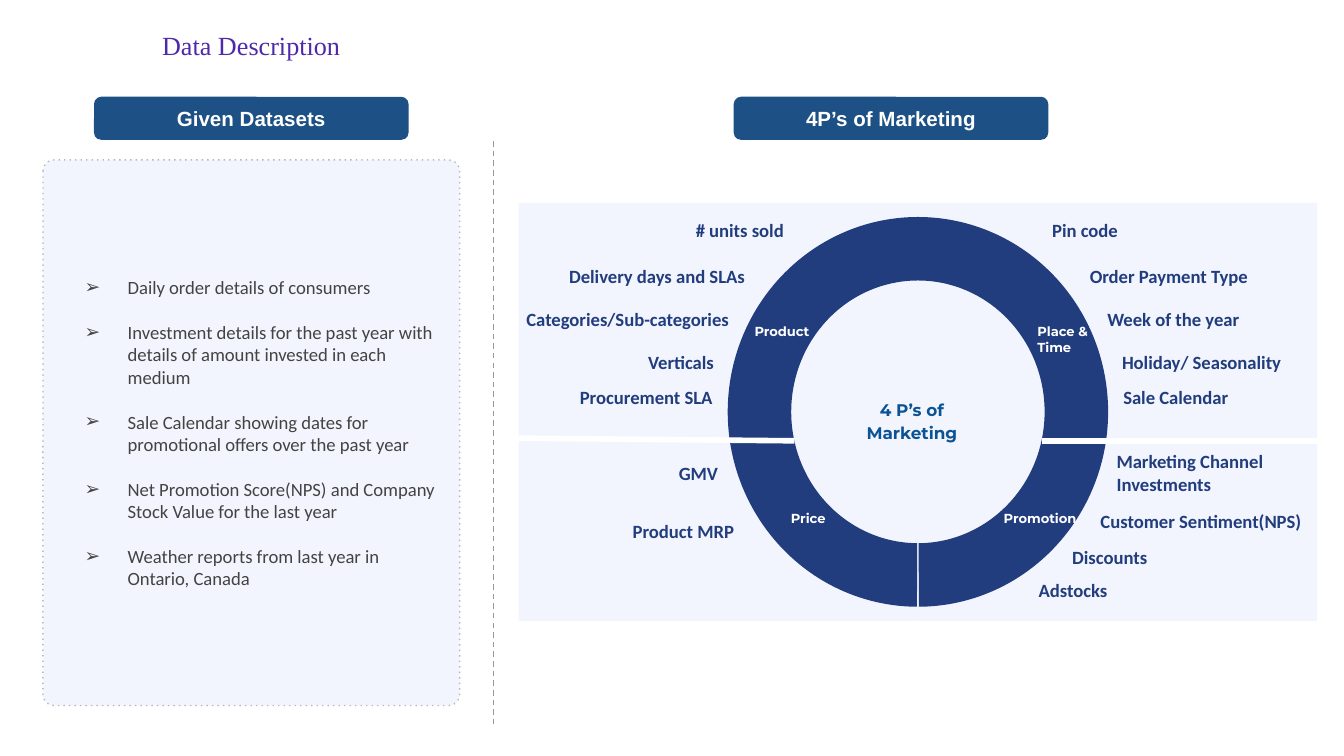
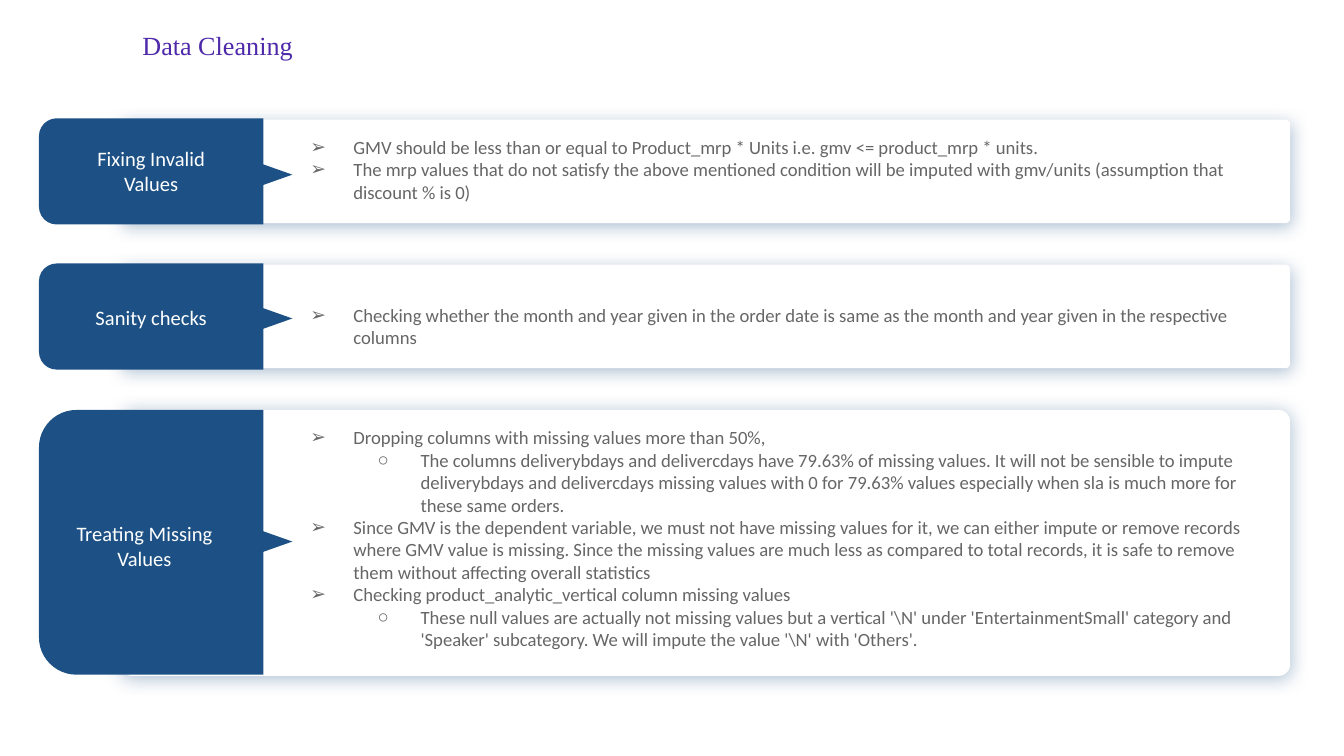
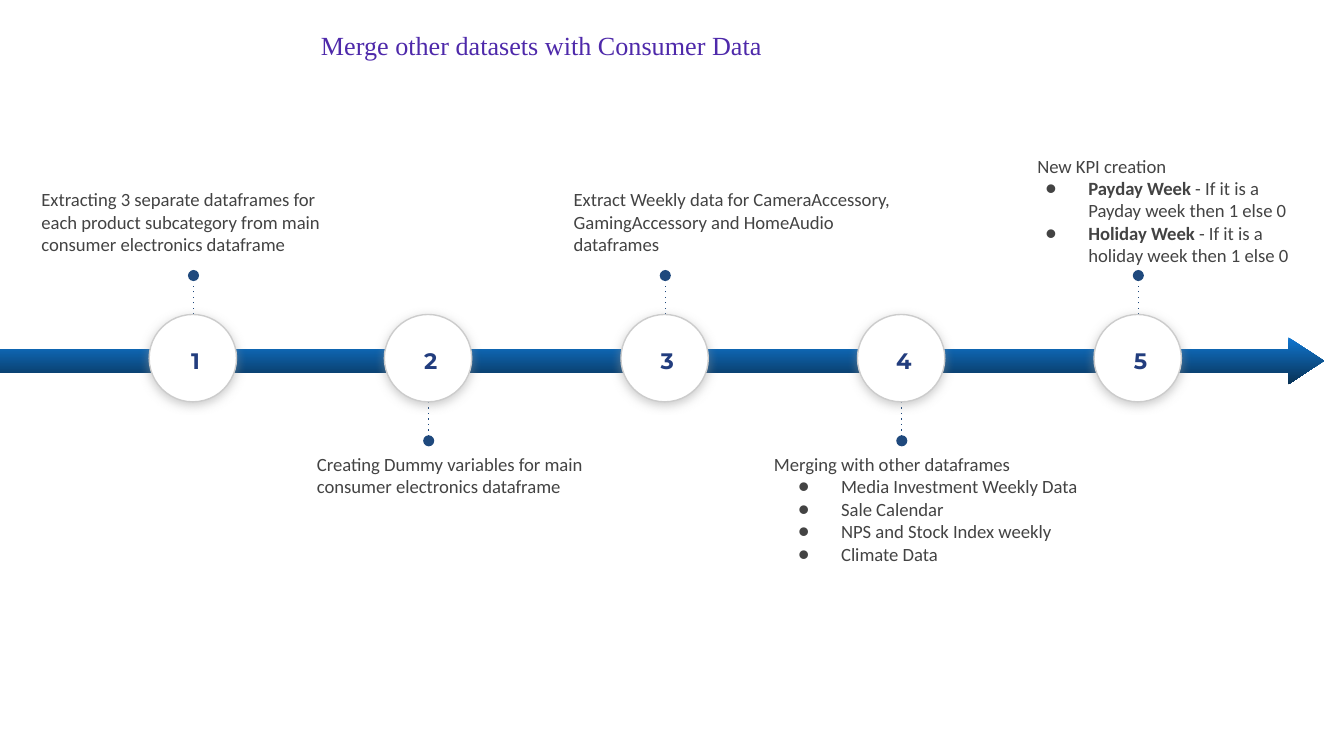
from lxml import etree
from pptx import Presentation
from pptx.dml.color import RGBColor
from pptx.enum.dml import MSO_LINE
from pptx.enum.shapes import MSO_CONNECTOR, MSO_SHAPE
from pptx.enum.text import MSO_ANCHOR, MSO_AUTO_SIZE, PP_ALIGN
from pptx.oxml.ns import qn
from pptx.util import Pt

PX = 9144  # 100 px to the inch
LEFT, MID, RIGHT = PP_ALIGN.LEFT, PP_ALIGN.CENTER, PP_ALIGN.RIGHT
TOP, CENTER = MSO_ANCHOR.TOP, MSO_ANCHOR.MIDDLE
DASH, DOT = MSO_LINE.DASH, MSO_LINE.ROUND_DOT
RECT, ROUND, OVAL = MSO_SHAPE.RECTANGLE, MSO_SHAPE.ROUNDED_RECTANGLE, MSO_SHAPE.OVAL
ARC, TAB = MSO_SHAPE.BLOCK_ARC, MSO_SHAPE.ROUND_2_SAME_RECTANGLE
TIP, ARROW = MSO_SHAPE.ISOSCELES_TRIANGLE, MSO_SHAPE.RIGHT_ARROW
STRAIGHT = MSO_CONNECTOR.STRAIGHT

HUES = {
    "white": "FFFFFF", "blue": "1D5185", "navy": "223D7E", "mist": "6F91ED",
    "hub": "0B5394", "stem": "1F497D", "ink": "434343", "gray": "666666",
    "rule": "999999", "edge": "B7B7B7", "rim": "CCCCCC", "outline": "595959",
    "violet": "4E29AA", "plum": "1E123D", "sky": "1077D2", "deep": "093153",
}
RGB = {name: RGBColor.from_string(code) for name, code in HUES.items()}

HEAD = {"name": "Times New Roman", "size": Pt(14), "bold": False}
PILL = {"name": "Arial", "size": Pt(11), "bold": True}
BODY = {"name": "Calibri", "size": Pt(10), "bold": False}
NAME = {"name": "Calibri", "size": Pt(11), "bold": False}
LABEL = {"name": "Calibri", "size": Pt(10), "bold": True}
PART = {"name": "Montserrat", "size": Pt(7), "bold": True}
HUB = {"name": "Montserrat", "size": Pt(9), "bold": True}
STEP = {"name": "Montserrat", "size": Pt(12), "bold": True}


def write(shape, lines, font, hue, align=LEFT, anchor=TOP, pad=10, **para):
    """Fill a shape with lines: text, or (bullet, indent, text); |bars| mark bold."""
    frame = shape.text_frame
    setup = {"word_wrap": True, "auto_size": MSO_AUTO_SIZE.NONE, "vertical_anchor": anchor,
             "margin_left": 10 * PX, "margin_right": 10 * PX,
             "margin_top": pad * PX, "margin_bottom": pad * PX}
    for key, value in setup.items():
        setattr(frame, key, value)
    for i, line in enumerate(lines):
        mark, indent, text = ("", 0, line) if isinstance(line, str) else line
        p = frame.paragraphs[0] if i == 0 else frame.add_paragraph()
        for key, value in {"alignment": align, "space_before": Pt(0), **para}.items():
            setattr(p, key, value)
        if mark:
            p.level = 1 if indent == 100 else 0
            props = p._p.get_or_add_pPr()
            props.set("marL", str(indent * PX))
            props.set("indent", str(-32 * PX))
            tint = etree.SubElement(props, qn("a:buClr"))
            etree.SubElement(tint, qn("a:srgbClr"), val=HUES[hue])
            face = "Arial" if mark == "○" else "Calibri"
            etree.SubElement(props, qn("a:buFont"), typeface=face)
            etree.SubElement(props, qn("a:buChar"), char=mark)
        for k, piece in enumerate(text.split("|")):
            if piece:
                run = p.add_run()
                run.text = piece
                for key, value in font.items():
                    setattr(run.font, key, value)
                run.font.bold = font["bold"] or k % 2 == 1
                run.font.color.rgb = RGB[hue]


def draw(slide, kind, box, hue, adj=(), turn=0, alpha=None, glow=None):
    """Add a preset shape; glow is (hue, opacity %, blur pt)."""
    shape = slide.shapes.add_shape(kind, *[n * PX for n in box])
    shape.shadow.inherit = False
    shape.rotation = turn
    for i, value in enumerate(adj):
        shape.adjustments[i] = value
    shape.fill.solid()
    shape.fill.fore_color.rgb = RGB[hue]
    shape.line.fill.background()
    props = shape.element.spPr
    if alpha:
        tint = props.find(qn("a:solidFill")).find(qn("a:srgbClr"))
        etree.SubElement(tint, qn("a:alpha"), val=str(alpha * 1000))
    if glow:
        shade, opacity, blur = glow
        cast = etree.SubElement(props.find(qn("a:effectLst")), qn("a:outerShdw"),
                                blurRad=str(Pt(blur)), dist=str(Pt(1.5)), dir="5400000",
                                algn="bl", rotWithShape="0")
        tint = etree.SubElement(cast, qn("a:srgbClr"), val=HUES[shade])
        etree.SubElement(tint, qn("a:alpha"), val=str(opacity * 1000))
    return shape


prs = Presentation()
prs.slide_width = 1000 * PX
prs.slide_height = prs.slide_width * 9 // 16

# Slides and titles: text, layout, title width
pages, fades, dotted = [], [], []
for text, layout, w in [("Data Description", 1, 318), ("Data Cleaning", 4, 268),
                        ("Merge other datasets with Consumer Data", 5, 750)]:
    page = prs.slides.add_slide(prs.slide_layouts[layout])
    title = page.shapes.title
    title.left, title.top, title.width, title.height = 28 * PX, 17 * PX, w * PX, 41 * PX
    write(title, [text], HEAD, "violet", MID, pad=5)
    run = title.text_frame.paragraphs[0].runs[0]
    fades.append((run.font.fill, "violet", "plum"))
    rim = etree.Element(qn("a:ln"), w=str(Pt(0.75)))
    solid = etree.SubElement(rim, qn("a:solidFill"))
    etree.SubElement(solid, qn("a:srgbClr"), val=HUES["outline"])
    run.font._element.insert(0, rim)
    pages.append(page)
data, clean, merge = pages

# Slide 1: datasets and the ring of four Ps
for x, text in [(70, "Given Datasets"), (546, "4P’s of Marketing")]:
    pill = draw(data, ROUND, (x, 72, 234, 32), "blue", [0.167])
    write(pill, [text], PILL, "white", MID, CENTER)

panel = draw(data, ROUND, (32, 119, 310, 406), "mist", [0.027], alpha=9)
panel.line.color.rgb = RGB["edge"]
panel.line.width = Pt(0.75)
panel.line.dash_style = DOT
dotted.append(panel)
body = data.placeholders[1]
body.left, body.top, body.width, body.height = 35 * PX, 119 * PX, 304 * PX, 406 * PX
body.element.getparent().append(body.element)
sets = ["Daily order details of consumers",
        "Investment details for the past year with details of amount invested in each medium",
        "Sale Calendar showing dates for promotional offers over the past year",
        "Net Promotion Score(NPS) and Company Stock Value for the last year",
        "Weather reports from last year in Ontario, Canada"]
write(body, [("➢", 50, text) for text in sets], BODY, "ink", anchor=CENTER)
for p in body.text_frame.paragraphs[1:]:
    p.space_before = Pt(12)

for x, turn in [(386, 270), (683, 90)]:
    draw(data, RECT, (x, 151, 297, 311), "mist", alpha=9)
    half = draw(data, ARC, (538, 165, 290, 283), "navy", [108, 215.83, 0.167], turn)
    if turn == 270:
        half.element.spPr.xfrm.set("flipH", "1")

for x1, y1, x2, y2, hue, thick, dash in [
        (367, 105, 367, 541, "rule", 0.75, DASH),
        (383, 326, 591, 328, "white", 3, None),
        (982, 328, 775, 328, "white", 3, None)]:
    rule = data.shapes.add_connector(STRAIGHT, x1 * PX, y1 * PX, x2 * PX, y2 * PX)
    rule.line.color.rgb = RGB[hue]
    rule.line.width = Pt(thick)
    rule.line.dash_style = dash
    etree.SubElement(rule.element.spPr, qn("a:effectLst"))

lefts = [(375, 153, 218, "# units sold"), (406, 187, 158, "Delivery days and SLAs"),
         (334, 219, 218, "Categories/Sub-categories"), (323, 251, 218, "Verticals"),
         (393, 277, 147, "Procurement SLA"), (394, 334, 150, "GMV"),
         (406, 377, 150, "Product MRP")]
rights = [(773, 153, 218, "Pin code"), (801, 187, 158, "Order Payment Type"),
          (814, 219, 192, "Week of the year"), (825, 251, 218, "Holiday/ Seasonality"),
          (826, 277, 147, "Sale Calendar"), (821, 325, 150, "Marketing Channel Investments"),
          (809, 369, 173, "Customer Sentiment(NPS)"), (788, 396, 150, "Discounts"),
          (763, 421, 150, "Adstocks")]
parts_l = [(540, 231, 72, "Product"), (552, 370, 72, "Price")]
parts_r = [(762, 231, 72, "Place & Time"), (737, 370, 77, "Promotion")]
for group, font, hue, align in [(lefts, LABEL, "navy", RIGHT), (rights, LABEL, "navy", LEFT),
                                (parts_l, PART, "white", RIGHT), (parts_r, PART, "white", LEFT)]:
    for x, y, w, text in group:
        label = data.shapes.add_textbox(x * PX, y * PX, w * PX, 30 * PX)
        write(label, [text], font, hue, align)
hub = data.shapes.add_textbox(632 * PX, 295 * PX, 93 * PX, 35 * PX)
write(hub, ["4 P’s of Marketing"], HUB, "hub", MID, CENTER, line_spacing=1.15)

# Slide 2: cards, each with a tab, a pointer and a list
# card top, card height, tab length, pointer top, name left, name top, list top
rows = [
    (89, 77, 79, 118, 48, 107, 91, "Fixing Invalid Values", [
        ("➢", 50, "GMV should be less than or equal to Product_mrp * Units i.e. "
         "gmv <= product_mrp * units."),
        ("➢", 50, "The mrp values that do not satisfy the above mentioned condition will be "
         "imputed with gmv/units (assumption that discount % is 0)")]),
    (197, 77, 79, 225, 48, 216, 216, "Sanity checks", [
        ("➢", 50, "Checking whether the month and year given in the order date is same as the "
         "month and year given in the respective columns")]),
    (305, 198, 197, 391, 43, 386, 307, "Treating Missing Values", [
        ("➢", 50, "Dropping columns with missing values more than 50%,"),
        ("○", 100, "The columns deliverybdays and delivercdays have 79.63% of missing values. "
         "It will not be sensible to impute deliverybdays and delivercdays missing values with 0 "
         "for 79.63% values especially when sla is much more for these same orders."),
        ("➢", 50, "Since GMV is the dependent variable, we must not have missing values for it, "
         "we can either impute or remove records where GMV value is missing. Since the missing "
         "values are much less as compared to total records, it is safe to remove them without "
         "affecting overall statistics"),
        ("➢", 50, "Checking product_analytic_vertical column missing values"),
        ("○", 100, "These null values are actually not missing values but a vertical '\\N' under "
         "'EntertainmentSmall' category and 'Speaker' subcategory. We will impute the value "
         "'\\N' with 'Others'.")]),
]
bodies = list(clean.placeholders)[1:]
spare = bodies.pop()
spare.element.getparent().remove(spare.element)
for body, (y, h, long, tip, name_x, name_y, list_y, text, lines) in zip(bodies, rows):
    draw(clean, ROUND, (90, y, 870, h), "white", [0.044], glow=("blue", 34, 9))
    draw(clean, TAB, (112 - long // 2, (2 * y + h - 167) // 2, long, 167), "blue",
         [0.167, 0], 270)
    draw(clean, TIP, (197, tip, 17, 24), "blue", [0.5], 90)
    name = clean.shapes.add_textbox(name_x * PX, name_y * PX, 129 * PX, 40 * PX)
    write(name, [text], NAME, "white", MID, CENTER)
    body.left, body.top, body.width, body.height = 203 * PX, list_y * PX, 748 * PX, 40 * PX
    body.element.getparent().append(body.element)
    write(body, lines, BODY, "gray")

# Slide 3: timeline with captions above and below in turn
arrow = draw(merge, ARROW, (0, 251, 985, 35), "sky", [0.5, 0.754])
fades.append((arrow.fill, "sky", "deep"))
notes = [
    (21, 135, 249, 63, ["Extracting 3 separate dataframes for each product subcategory "
                        "from main consumer electronics dataframe"]),
    (226, 332, 249, 102, ["Creating Dummy variables for main consumer electronics dataframe"]),
    (417, 135, 261, 63, ["Extract Weekly data for CameraAccessory, GamingAccessory "
                         "and HomeAudio dataframes"]),
    (566, 332, 272, 99, ["Merging with other dataframes",
                         ("●", 50, "Media Investment Weekly Data"), ("●", 50, "Sale Calendar"),
                         ("●", 50, "NPS and Stock Index weekly"), ("●", 50, "Climate Data")]),
    (762, 110, 223, 63, ["New KPI creation",
                         ("●", 38, "|Payday Week| - If it is a Payday week then 1 else 0"),
                         ("●", 38, "|Holiday Week |- If it is a holiday week then 1 else 0")]),
]
for i, (x, y, w, h, lines) in enumerate(notes):
    note = merge.shapes.add_textbox(x * PX, y * PX, w * PX, h * PX)
    write(note, lines, BODY, "ink", pad=5)

    left = 111 + 703 * i // 4
    mid = (left + 33) * PX
    start, end = (299, 328) if i % 2 else (234, 205)
    stem = merge.shapes.add_connector(STRAIGHT, mid, start * PX, mid, end * PX)
    stem.line.color.rgb = RGB["stem"]
    stem.line.width = Pt(0.75)
    stem.line.dash_style = DOT
    dotted.append(stem)
    etree.SubElement(stem.element.spPr.find(qn("a:ln")), qn("a:tailEnd"), type="oval")
    etree.SubElement(stem.element.spPr, qn("a:effectLst"))

    disc = draw(merge, OVAL, (left, 234, 65, 65), "white", glow=("rule", 50, 5.6))
    disc.line.color.rgb = RGB["rim"]
    disc.line.width = Pt(0.75)
    count = merge.shapes.add_textbox((left + 15) * PX, 251 * PX, 39 * PX, 35 * PX)
    write(count, [str(i + 1)], STEP, "navy", MID, CENTER)

# Wide dots, which the dash styles lack
for shape in dotted:
    shape.element.spPr.find(qn("a:ln")).find(qn("a:prstDash")).set("val", "dot")

# Downward gradients of the titles and the arrow
for fill, start, end in fades:
    fill.gradient()
    fill.gradient_angle = 270
    for stop, hue in zip(fill.gradient_stops, (start, end)):
        stop.color.rgb = RGB[hue]

prs.save("out.pptx")
